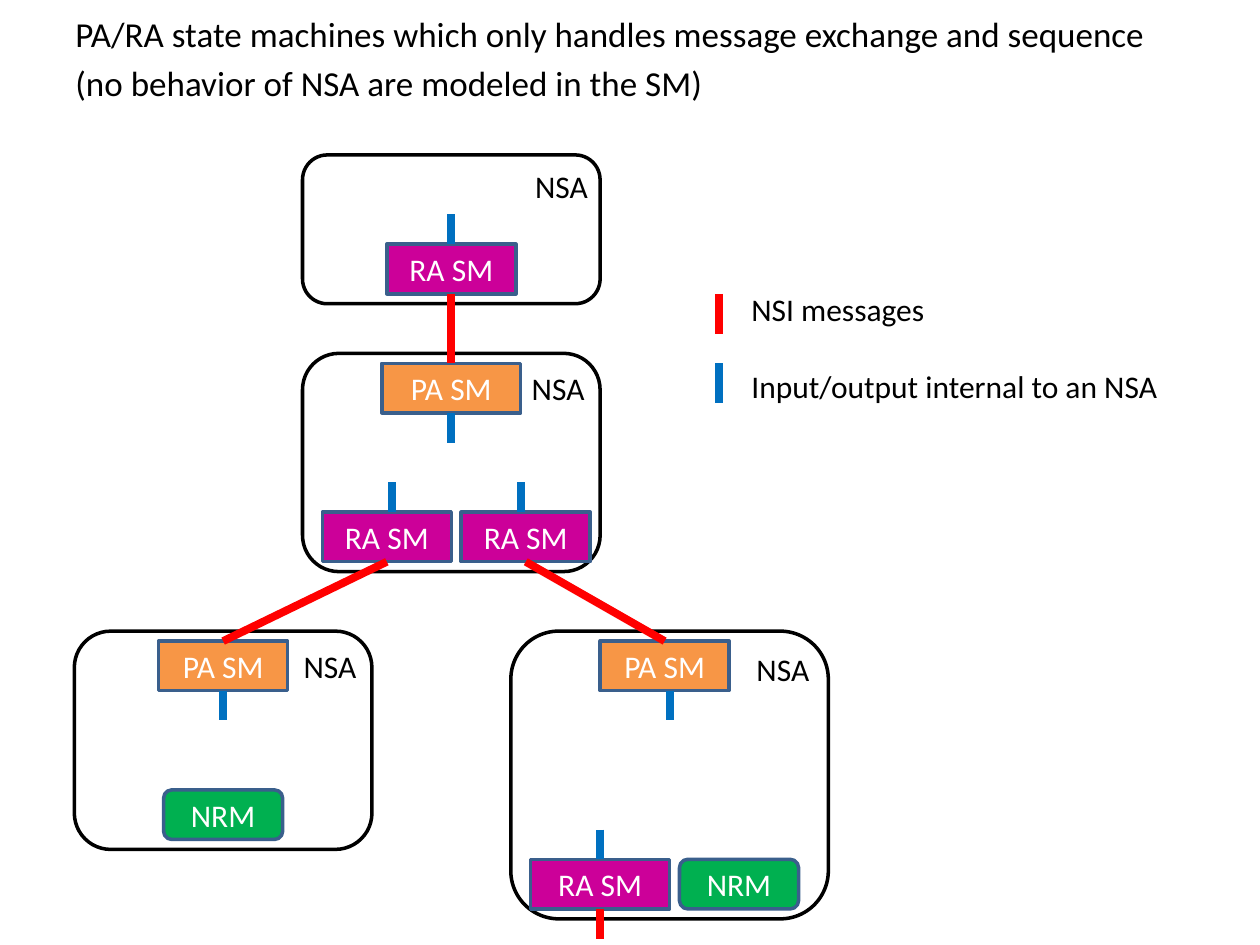
from lxml.etree import SubElement
from pptx import Presentation
from pptx.dml.color import RGBColor
from pptx.enum.shapes import MSO_CONNECTOR, MSO_SHAPE
from pptx.enum.text import MSO_ANCHOR, MSO_AUTO_SIZE, PP_ALIGN
from pptx.oxml.ns import qn
from pptx.util import Inches, Mm, Pt

THEME = {
    "font": "Calibri", "title": 20, "body": 18, "border": 2, "link": 4.5,
    "text": "000000", "light": "FFFFFF", "edge": "3A5F8C",
    "RA SM": "CC0099", "PA SM": "F79646", "NRM": "00B050",
    "message": "FF0000", "internal": "0070C0",
}
TITLE = [
    "PA/RA state machines which only handles message exchange and sequence",
    "(no behavior of NSA are modeled in the SM)",
]
CELL = Mm(2)
LEFT, TOP = Inches(0.59), Inches(1.23)
BLOCK_ROWS, STUB_ROWS, LEGEND_ROWS = 5, 3, 4

AGENTS = [(23, 0, 30, 15), (23, 20, 30, 22), (0, 48, 30, 22), (44, 48, 32, 29)]
BLOCKS = [
    ("RA SM", 31.5, 9, 13),
    ("PA SM", 31, 21, 14), ("RA SM", 25, 36, 13), ("RA SM", 39, 36, 13),
    ("PA SM", 8.5, 49, 13), ("NRM", 9, 64, 12),
    ("PA SM", 53, 49, 13), ("RA SM", 46, 71, 14), ("NRM", 61, 71, 12),
]
MESSAGES = [(38, 14, 38, 21), (31.5, 41, 15, 49), (45.5, 41, 59.5, 49), (53, 76, 53, 79)]
STUBS = [(38, 6), (38, 26), (32, 33), (45, 33), (15, 54), (60, 54), (53, 68)]
LEGEND = [
    ("message", "NSI messages", 14, 13, 21),
    ("internal", "Input/output internal to an NSA", 21, 20.8, 44),
]
LEGEND_COL, LABEL_COL = 65, 67

prs = Presentation()
prs.slide_width, prs.slide_height = Inches(10), Inches(7.5)
s = prs.slides.add_slide(prs.slide_layouts[6])


def color(name):
    return RGBColor.from_string(THEME[name])


def x(col):
    return LEFT + int(col * CELL)


def y(row):
    return TOP + int(row * CELL)


def write(p, text, ink="text", size="body", align=PP_ALIGN.LEFT):
    p.alignment = align
    r = p.add_run()
    r.text = text
    r.font.name = THEME["font"]
    r.font.size = Pt(THEME[size])
    r.font.color.rgb = color(ink)


def box(shape, col, row, cols, rows, edge, text, ink, align, anchor, fill=None):
    sp = s.shapes.add_shape(shape, x(col), y(row), int(cols * CELL), int(rows * CELL))
    sp.shadow.inherit = False
    if fill:
        sp.fill.solid()
        sp.fill.fore_color.rgb = color(fill)
    else:
        sp.fill.background()
    sp.line.color.rgb = color(edge)
    sp.line.width = Pt(THEME["border"])
    tf = sp.text_frame
    tf.margin_left = tf.margin_right = tf.margin_top = tf.margin_bottom = Mm(1)
    tf.vertical_anchor = anchor
    write(tf.paragraphs[0], text, ink, align=align)


def link(col1, row1, col2, row2, kind):
    sp = s.shapes.add_connector(MSO_CONNECTOR.STRAIGHT, x(col1), y(row1), x(col2), y(row2))
    sp.line.color.rgb = color(kind)
    sp.line.width = Pt(THEME["link"])
    SubElement(sp._element.spPr, qn("a:effectLst"))


for agent in AGENTS:
    box(MSO_SHAPE.ROUNDED_RECTANGLE, *agent, "text", "NSA", "text",
        PP_ALIGN.RIGHT, MSO_ANCHOR.TOP)

for name, col, row, cols in BLOCKS:
    shape = MSO_SHAPE.ROUNDED_RECTANGLE if name == "NRM" else MSO_SHAPE.RECTANGLE
    box(shape, col, row, cols, BLOCK_ROWS, "edge", name, "light",
        PP_ALIGN.CENTER, MSO_ANCHOR.MIDDLE, name)

for ends in MESSAGES:
    link(*ends, "message")
for col, row in STUBS:
    link(col, row, col, row + STUB_ROWS, "internal")

for kind, label, row, label_row, cols in LEGEND:
    link(LEGEND_COL, row, LEGEND_COL, row + LEGEND_ROWS, kind)
    sp = s.shapes.add_textbox(x(LABEL_COL), y(label_row), cols * CELL, Inches(0.4))
    tf = sp.text_frame
    tf.word_wrap = False
    tf.auto_size = MSO_AUTO_SIZE.SHAPE_TO_FIT_TEXT
    write(tf.paragraphs[0], label)

sp = s.shapes.add_textbox(Inches(0.5), Inches(0.05), Inches(9), Inches(1.18))
tf = sp.text_frame
tf.word_wrap = True
for i, line in enumerate(TITLE):
    p = tf.add_paragraph() if i else tf.paragraphs[0]
    p.space_before = Pt(0.2 * THEME["title"] if i else 0)
    write(p, line, size="title")

prs.save("out.pptx")
